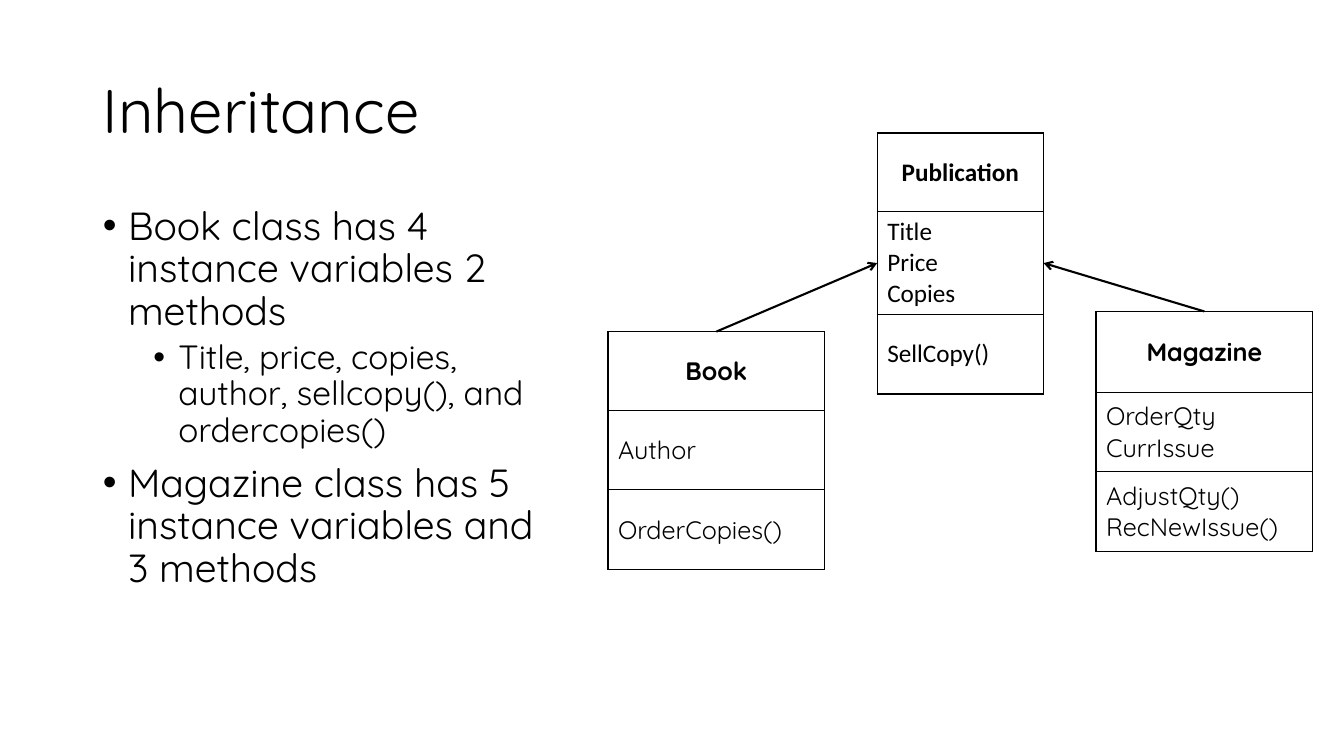
import pptx
import pptx.util
import pptx.dml.color
import pptx.enum.shapes
import pptx.enum.text
import pptx.oxml
import pptx.oxml.ns
from lxml import etree

Inches, Pt = pptx.util.Inches, pptx.util.Pt
ALIGN = pptx.enum.text.PP_ALIGN
MIDDLE = pptx.enum.text.MSO_ANCHOR.MIDDLE
BLACK = pptx.dml.color.RGBColor(0, 0, 0)
MAIN, PLAIN = "Quicksand", "Calibri"

TITLE = "Inheritance"
POINTS = [
    (0, "Book class has 4 instance variables 2 methods"),
    (1, "Title, price, copies, author, sellcopy(), and ordercopies()"),
    (0, "Magazine class has 5 instance variables and 3 methods"),
]
# level: text size, space before, left indent
LEVELS = {0: (28, 10, 0.25), 1: (24, 5, 0.75)}
HANG = 0.25

# name: left, top, width, row heights, font, fields, methods
CLASSES = {
    "Book": (6.03, 3.29, 2.15, (0.78, 0.79, 0.79), MAIN,
             ["Author"], ["OrderCopies()"]),
    "Magazine": (10.87, 3.09, 2.15, (0.8, 0.79, 0.79), MAIN,
                 ["OrderQty", "CurrIssue"], ["AdjustQty()", "RecNewIssue()"]),
    "Publication": (8.7, 1.32, 1.65, (0.78, 1.02, 0.79), PLAIN,
                    ["Title", "Price", "Copies"], ["SellCopy()"]),
}
PARENT = "Publication"


def style(font, **values):
    for key, value in values.items():
        setattr(font, key, value)
    font.color.rgb = BLACK


def place(shape, *box):
    for key, value in zip(("left", "top", "width", "height"), box):
        setattr(shape, key, Inches(value))


def add(parent, tag, **values):
    return etree.SubElement(parent, pptx.oxml.ns.qn(tag), **values)


def border(cell):
    props = cell._tc.get_or_add_tcPr()
    for spot, side in enumerate(("a:lnL", "a:lnR", "a:lnT", "a:lnB")):
        line = add(props, side, w=str(Pt(1)))
        add(add(line, "a:solidFill"), "a:srgbClr", val=str(BLACK))
        props.insert(spot, line)


def draw_class(slide, name):
    left, top, width, rows, font, fields, methods = CLASSES[name]
    box = map(Inches, (left, top, width, sum(rows)))
    table = slide.shapes.add_table(len(rows), 1, *box).table
    table.first_row = table.horz_banding = False
    for row, (high, lines) in enumerate(zip(rows, ([name], fields, methods))):
        table.rows[row].height = Inches(high)
        cell = table.cell(row, 0)
        cell.text = "\n".join(lines)
        cell.vertical_anchor = MIDDLE
        cell.fill.background()
        border(cell)
        for para in cell.text_frame.paragraphs:
            para.alignment = ALIGN.LEFT if row else ALIGN.CENTER
            style(para.runs[0].font, name=font, size=Pt(18), bold=row == 0)


def draw_arrow(slide, child):
    """Join the top of a child class to the near side of its parent."""
    left, top, width = CLASSES[child][:3]
    side, head, span, rows = CLASSES[PARENT][:4]
    end = side if left < side else side + span
    points = (left + width / 2, top, end, head + rows[0] + rows[1] / 2)
    kind = pptx.enum.shapes.MSO_CONNECTOR.STRAIGHT
    arrow = slide.shapes.add_connector(kind, *map(Inches, points))
    arrow.line.color.rgb = BLACK
    arrow.line.width = Pt(1.5)
    add(arrow.line._get_or_add_ln(), "a:tailEnd", type="arrow")
    add(arrow._element.spPr, "a:effectLst")


def draw_title(slide):
    title = slide.shapes.title
    place(title, 0.92, 0.4, 11.5, 1.45)
    frame = title.text_frame
    frame.text = TITLE
    frame.auto_size = pptx.enum.text.MSO_AUTO_SIZE.NONE
    frame.vertical_anchor = MIDDLE
    para = frame.paragraphs[0]
    para.alignment = ALIGN.LEFT
    para.line_spacing = 0.9
    style(para.runs[0].font, name=MAIN, size=Pt(44))


def draw_points(slide):
    body = slide.placeholders[1]
    place(body, 0.92, 2, 4.77, 4.76)
    frame = body.text_frame
    frame.text = "\n".join(text for _, text in POINTS)
    frame.auto_size = pptx.enum.text.MSO_AUTO_SIZE.NONE
    for para, (level, _) in zip(frame.paragraphs, POINTS):
        size, space, indent = LEVELS[level]
        para.level = level
        para.line_spacing = 0.9
        para.space_before = Pt(space)
        style(para.runs[0].font, name=MAIN, size=Pt(size))
        props = para._p.get_or_add_pPr()
        props.set("marL", str(Inches(indent)))
        props.set("indent", str(-Inches(HANG)))
        add(props, "a:buFont", typeface="Arial")
        add(props, "a:buChar", char="•")


def main():
    deck = pptx.Presentation()
    deck.slide_width, deck.slide_height = Inches(13.33), Inches(7.5)
    slide = deck.slides.add_slide(deck.slide_layouts[1])
    draw_title(slide)
    draw_points(slide)
    for name in CLASSES:
        draw_class(slide, name)
    for name in CLASSES:
        if name != PARENT:
            draw_arrow(slide, name)
    deck.save("out.pptx")


if __name__ == "__main__":
    main()
